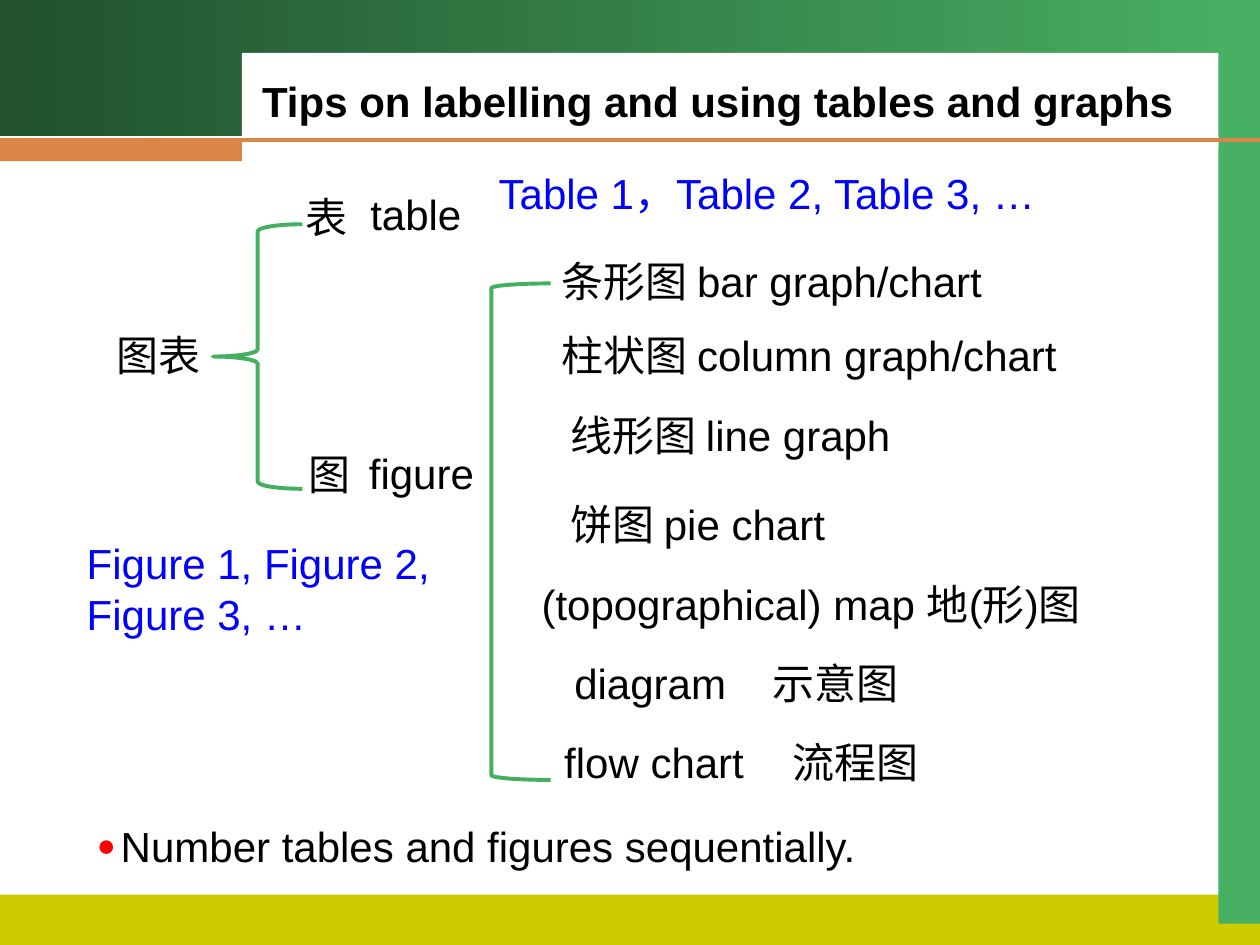
"""Build the slide on labelling and using tables and graphs."""
from pptx import Presentation
from pptx import util as u
from pptx.dml.color import RGBColor
from pptx.enum import shapes, text
from pptx.oxml.ns import qn
from lxml import etree

GREEN, ORANGE, OLIVE = "48B063", "DB8647", "CCCC00"
BLACK, WHITE, BLUE, RED = "000000", "FFFFFF", "0000FF", "FF0000"
LINE = "44AF5F"
SHAPE = shapes.MSO_SHAPE


def rgb(value):
    """Turn a hex string into a colour."""
    return RGBColor.from_string(value)


def write(tf, content, color=BLACK, bold=False, wrap=True, bullet=None):
    """Fill a text frame with one formatted paragraph."""
    tf.word_wrap = wrap
    tf.auto_size = text.MSO_AUTO_SIZE.NONE
    tf.vertical_anchor = text.MSO_ANCHOR.TOP
    tf.margin_left = tf.margin_right = u.Inches(0.1)
    tf.margin_top = tf.margin_bottom = u.Inches(0.05)
    p = tf.paragraphs[0]
    p.alignment = text.PP_ALIGN.LEFT
    if bullet:
        pPr = p._p.get_or_add_pPr()
        pPr.set("marL", str(u.Inches(0.19)))
        pPr.set("indent", str(-u.Inches(0.19)))
        clr = etree.SubElement(pPr, qn("a:buClr"))
        etree.SubElement(clr, qn("a:srgbClr"), val=bullet)
        etree.SubElement(pPr, qn("a:buSzPct"), val="75000")
        etree.SubElement(pPr, qn("a:buFont"), typeface="Arial")
        etree.SubElement(pPr, qn("a:buChar"), char="●")
    r = p.add_run()
    r.text = content
    r.font.name, r.font.size, r.font.bold = "Arial", u.Pt(24), bold
    r.font.color.rgb = rgb(color)


class Deck:
    """Hold the style and current slide on a grid of 100 columns by 75 rows."""

    def __init__(self):
        """Start a presentation with one title-only slide."""
        self.prs = Presentation()
        self.prs.slide_width, self.prs.slide_height = u.Inches(10), u.Inches(7.5)
        self.s = self.prs.slides.add_slide(self.prs.slide_layouts[5])

    def grid(self, *cells):
        """Convert grid cells to lengths."""
        return [int(c * self.prs.slide_width / 100) for c in cells]

    def band(self, *box, fill, to=None):
        """Add a plain or gradient rectangle."""
        sp = self.s.shapes.add_shape(SHAPE.RECTANGLE, *self.grid(*box))
        sp.shadow.inherit = False
        sp.line.fill.background()
        if to:
            sp.fill.gradient()
            sp.fill.gradient_angle = 0
            for stop, color in zip(sp.fill.gradient_stops, (fill, to)):
                stop.color.rgb = rgb(color)
        else:
            sp.fill.solid()
            sp.fill.fore_color.rgb = rgb(fill)

    def rule(self, *ends, color):
        """Add a straight line."""
        cxn = self.s.shapes.add_connector(shapes.MSO_CONNECTOR.STRAIGHT, *self.grid(*ends))
        cxn.line.color.rgb, cxn.line.width = rgb(color), u.Pt(2.25)
        etree.SubElement(cxn.element.spPr, qn("a:effectLst"))

    def brace(self, kind, *box):
        """Add an outlined brace or bracket."""
        sp = self.s.shapes.add_shape(kind, *self.grid(*box))
        sp.shadow.inherit = False
        sp.fill.background()
        sp.line.color.rgb, sp.line.width = rgb(LINE), u.Pt(2.25)
        sp.adjustments[0] = 0.08

    def title(self, content, *box):
        """Place the title placeholder in front and fill it."""
        sp = self.s.shapes.title
        sp.left, sp.top, sp.width, sp.height = self.grid(*box)
        sp.element.getparent().append(sp.element)
        write(sp.text_frame, content, bold=True, wrap=False)

    def label(self, content, x, y, w, h=5, **fmt):
        """Add a text box."""
        sp = self.s.shapes.add_textbox(*self.grid(x, y, w, h))
        write(sp.text_frame, content, **fmt)


def main():
    """Draw the slide and save it."""
    d = Deck()
    d.band(0, 0, 100, 10.8, fill="21512E", to=GREEN)
    d.band(0, 71, 100, 4, fill=OLIVE)
    d.band(96.7, 2.5, 3.3, 70.8, fill=GREEN)
    d.band(19.2, 4.2, 77.5, 7.5, fill=WHITE)
    d.rule(0, 11.1, 100, 11.1, color=ORANGE)
    d.band(0, 11.1, 19.2, 1.7, fill=ORANGE)
    d.title("Tips on labelling and using tables and graphs", 19.8, 5.5, 75.3, 5)

    d.brace(SHAPE.LEFT_BRACE, 16.9, 17.8, 7.1, 21)
    d.brace(SHAPE.LEFT_BRACKET, 39, 22.5, 4.7, 39.4)
    for content, x, y, w in (
        ("图表", 8.3, 25.7, 8.6),
        ("表", 23.3, 14.7, 5.3),
        ("图", 23.5, 35.1, 5.3),
        ("table", 28.4, 14.5, 9.2),
        ("figure", 28.3, 35, 10.3),
    ):
        d.label(content, x, y, w, wrap=False)
    for content, x, y, w in (
        ("条形图 bar graph/chart", 43.6, 19.8, 38),
        ("柱状图 column graph/chart", 43.6, 25.7, 44),
        ("线形图 line graph", 44.3, 32, 30),
        ("饼图 pie chart", 44.3, 39.1, 24),
        ("(topographical) map 地(形)图", 42, 45.4, 50),
        ("diagram", 44.6, 51.7, 15),
        ("示意图", 60.3, 51.7, 13),
        ("flow chart", 43.8, 58, 18),
        ("流程图", 61.9, 58, 13),
    ):
        d.label(content, x, y, w)
    d.label("Table 1，Table 2, Table 3, …", 38.6, 12.8, 47.3, color=BLUE)
    d.label("Figure 1, Figure 2, Figure 3, …", 5.9, 42.2, 30.7, 9, color=BLUE)
    d.label("Number tables and figures sequentially.", 6.7, 64.6, 69.7, bullet=RED)
    d.prs.save("out.pptx")


if __name__ == "__main__":
    main()
